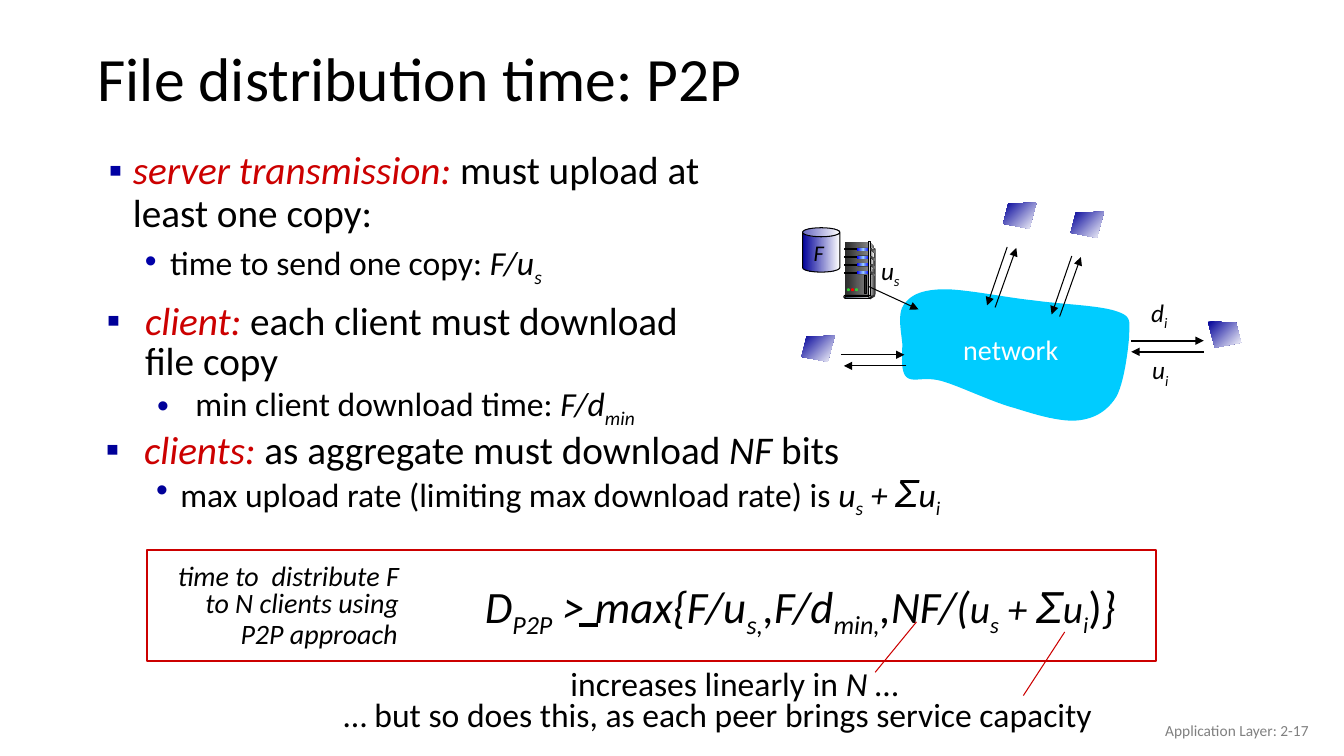
from dataclasses import dataclass

import lxml.etree
import pptx
import pptx.dml.color
import pptx.enum.dml
import pptx.enum.shapes
import pptx.enum.text
import pptx.oxml.ns
import pptx.util
from copy import deepcopy

Inches, Pt = pptx.util.Inches, pptx.util.Pt
qn = pptx.oxml.ns.qn
SHAPE = pptx.enum.shapes.MSO_SHAPE
ALIGN = pptx.enum.text.PP_ALIGN
BLACK, RED, NAVY = "000000", "CC0000", "000099"


@dataclass
class Run:
    text: str
    size: float = 24
    italic: bool = False
    sub: bool = False
    color: str = BLACK
    font: str = "Calibri"


@dataclass
class Para:
    runs: list
    align: object = ALIGN.LEFT
    spacing: float = 1.0
    before: float = 0
    left: float = 0
    hang: float = 0
    bullet: str = ""
    bullet_color: str = NAVY
    level: int = 0


@dataclass
class Gradient:
    colors: tuple
    angle: float = 0


@dataclass
class Line:
    start: tuple
    end: tuple
    width: float = 0.75
    color: str = BLACK
    arrow: bool = True


def rgb(value: str):
    return pptx.dml.color.RGBColor.from_string(value)


def it(text: str, size: float = 24, **kw) -> Run:
    return Run(text, size, italic=True, **kw)


def sub(text: str, size: float = 24) -> Run:
    return Run(text, size, italic=True, sub=True)


def rate_sum(size: float, sigma: float) -> list:
    """Runs for the total upload rate."""
    return [it("u", size), sub("s", size), it(" + ", size), it("Σ", sigma, font="Arial"),
            it("u", size), sub("i", size)]


def add_text(slide, at, paras, wrap=True, middle=False):
    tf = slide.shapes.add_textbox(*map(Inches, at)).text_frame
    tf.word_wrap = wrap
    if middle:
        tf.vertical_anchor = pptx.enum.text.MSO_ANCHOR.MIDDLE
    for i, para in enumerate(paras):
        p = tf.paragraphs[0] if i == 0 else tf.add_paragraph()
        pPr = p._p.get_or_add_pPr()
        if para.left:
            pPr.set("marL", str(Inches(para.left)))
            pPr.set("indent", str(Inches(para.hang)))
        if para.bullet:
            clr = lxml.etree.SubElement(pPr, qn("a:buClr"))
            lxml.etree.SubElement(clr, qn("a:srgbClr"), val=para.bullet_color)
            lxml.etree.SubElement(pPr, qn("a:buFont"), typeface="Arial")
            lxml.etree.SubElement(pPr, qn("a:buChar"), char=para.bullet)
        p.level, p.alignment, p.line_spacing = para.level, para.align, para.spacing
        if para.before:
            p.space_before = Pt(para.before)
        for run in para.runs:
            r = p.add_run()
            r.text = run.text
            r.font.name, r.font.size, r.font.italic = run.font, Pt(run.size), run.italic
            r.font.color.rgb = rgb(run.color)
            if run.sub:
                r._r.get_or_add_rPr().set("baseline", "-25000")


def paint(sp, fill=None, line=None, width=0.75):
    sp.shadow.inherit = False
    if fill is None:
        sp.fill.background()
    elif isinstance(fill, Gradient):
        sp.fill.gradient()
        sp.fill.gradient_angle = (360 - fill.angle) % 360
        stops = sp._element.spPr.find(qn("a:gradFill")).find(qn("a:gsLst"))
        while len(stops) < len(fill.colors):
            stops.append(deepcopy(stops[0]))
        for i, (stop, color) in enumerate(zip(sp.fill.gradient_stops, fill.colors)):
            stop.position = i / (len(fill.colors) - 1)
            stop.color.rgb = rgb(color)
    else:
        sp.fill.solid()
        sp.fill.fore_color.rgb = rgb(fill)
    if line is None:
        sp.line.fill.background()
    else:
        sp.line.color.rgb = rgb(line)
        sp.line.width = Pt(width)


def add_shape(slide, kind, at, fill=None, line=None, width=0.75, adj=None):
    sp = slide.shapes.add_shape(kind, *map(Inches, at))
    if adj is not None:
        sp.adjustments[0] = adj
    paint(sp, fill, line, width)


def add_outline(slide, points, fill):
    pts = [(Inches(x), Inches(y)) for x, y in points]
    builder = slide.shapes.build_freeform(*pts[0], scale=1.0)
    builder.add_line_segments(pts[1:], close=True)
    paint(builder.convert_to_shape(), fill)


def add_line(slide, line: Line):
    ends = map(Inches, (*line.start, *line.end))
    c = slide.shapes.add_connector(pptx.enum.shapes.MSO_CONNECTOR.STRAIGHT, *ends)
    c.line.color.rgb = rgb(line.color)
    c.line.width = Pt(line.width)
    if line.arrow:
        lxml.etree.SubElement(c.line._get_or_add_ln(), qn("a:tailEnd"), type="triangle")
    lxml.etree.SubElement(c._element.spPr, qn("a:effectLst"))


def curve(points: list, steps: int = 12) -> list:
    """Points along joined cubic curves: a start, then three points per curve."""
    out = [points[0]]
    for i in range(0, len(points) - 1, 3):
        for t in (k / steps for k in range(1, steps + 1)):
            w = ((1 - t) ** 3, 3 * t * (1 - t) ** 2, 3 * t * t * (1 - t), t ** 3)
            out.append(tuple(sum(a * pt[n] for a, pt in zip(w, points[i:i + 4])) for n in (0, 1)))
    return out


def draw_server(slide):
    dark, pill = Gradient(("292929", "808080")), Gradient(("0000FF", "99CCFF", "0000FF"))
    add_outline(slide, [(8.63, 2.4), (8.68, 2.47), (8.68, 2.92), (8.62, 2.94)],
                Gradient(("DDDDDD", "333333")))
    add_shape(slide, SHAPE.RECTANGLE, (8.38, 2.4, 0.23, 0.54), dark)
    add_outline(slide, [(8.63, 2.44), (8.67, 2.48), (8.64, 2.75), (8.63, 2.93)],
                Gradient(("808080", "F8F8F8")))
    slots = [2.46 + 0.077 * i for i in range(4)]
    for y in slots:
        add_shape(slide, SHAPE.RECTANGLE, (8.38, y + 0.01, 0.13, 0.01), BLACK, BLACK)
        add_shape(slide, SHAPE.ROUNDED_RECTANGLE, (8.5, y, 0.13, 0.03), BLACK, adj=0.5)
        add_shape(slide, SHAPE.ROUNDED_RECTANGLE, (8.5, y, 0.12, 0.03), pill, adj=0.5)
    add_shape(slide, SHAPE.RECTANGLE, (8.61, 2.4, 0.02, 0.54),
              Gradient(("333333", "DDDDDD", "333333")), BLACK)
    for y in slots:
        add_outline(slide, [(8.63, y), (8.68, y + 0.03), (8.68, y + 0.05), (8.63, y + 0.02)], dark)
    # Base, lights and side vent
    add_outline(slide, [(8.63, 2.94), (8.63, 2.97), (8.68, 2.94), (8.68, 2.92)], "333333")
    add_shape(slide, SHAPE.ROUNDED_RECTANGLE, (8.37, 2.93, 0.27, 0.03), "DDDDDD", BLACK, adj=0.5)
    add_shape(slide, SHAPE.ROUNDED_RECTANGLE, (8.38, 2.94, 0.24, 0.02),
              Gradient(("44546A", "E7E6E6")), BLACK, adj=0.5)
    for i, color in enumerate(("33CC33", "FF0000", "33CC33")):
        add_shape(slide, SHAPE.OVAL, (8.4 + 0.04 * i, 2.86, 0.03, 0.03), color)
    add_shape(slide, SHAPE.RECTANGLE, (8.57, 2.73, 0.02, 0.18), "292929", BLACK)


def draw_network(slide):
    add_outline(slide, curve([
        (9.33, 2.87), (9.11, 2.88), (9.02, 2.94), (8.96, 3.03), (8.9, 3.12), (8.94, 3.3),
        (8.95, 3.41), (8.95, 3.53), (8.93, 3.68), (8.99, 3.74), (9.06, 3.8), (9.16, 3.73),
        (9.34, 3.78), (9.52, 3.83), (9.84, 3.99), (10.07, 4.05), (10.29, 4.12), (10.53, 4.19),
        (10.7, 4.17), (10.86, 4.15), (10.98, 4.08), (11.07, 3.94), (11.15, 3.8), (11.19, 3.47),
        (11.2, 3.33), (11.2, 3.19), (11.23, 3.14), (11.08, 3.09), (10.92, 3.03), (10.54, 3.02),
        (10.25, 2.98), (9.96, 2.95), (9.54, 2.86), (9.33, 2.87)]), "00CCFF")
    add_shape(slide, SHAPE.CAN, (7.96, 2.26, 0.37, 0.44), Gradient((NAVY, "FFFFFF")), BLACK, adj=0.242)
    draw_server(slide)
    # Peers, the last one mirrored
    for x, y, flip in ((7.95, 3.33, 0), (9.95, 2.01, 0), (10.62, 2.1, 0), (11.98, 3.19, 1)):
        corners = ((0.33, 0), (0.05, 0.01), (0, 0.21), (0.26, 0.26))
        add_outline(slide, [(x + (0.33 - dx if flip else dx), y + dy) for dx, dy in corners],
                    Gradient((NAVY, "FFFFFF"), 45))
    # Links
    links = [Line((8.61, 2.84), (9.11, 3.07)), Line((8.34, 3.52), (8.97, 3.52)),
             Line((8.99, 3.63), (8.37, 3.63)), Line((11.22, 3.38), (11.94, 3.38), 1.5),
             Line((11.94, 3.49), (11.22, 3.49), 1.5)]
    for x, y in ((9.79, 3.03), (10.43, 3.12)):
        links += [Line((x + 0.2, y - 0.58), (x, y)), Line((x + 0.08, y + 0.02), (x + 0.29, y - 0.57))]
    for link in links:
        add_line(slide, link)
    # Labels
    add_text(slide, (9.45, 3.25, 1.15, 0.44), [Para([Run("network", 20, color="FFFFFF")], ALIGN.CENTER)], False)
    add_text(slide, (7.69, 2.32, 0.86, 0.37), [Para([it("F", 16)], ALIGN.CENTER)])
    for x, y, name, index in ((8.64, 2.48, "u", "s"), (11.32, 2.9, "d", "i"), (11.33, 3.47, "u", "i")):
        add_text(slide, (x, y, 0.5, 0.4), [Para([it(name, 18), sub(index, 18)])])


def main():
    prs = pptx.Presentation()
    prs.slide_width, prs.slide_height = Inches(13.33), Inches(7.5)
    slide = prs.slides.add_slide(prs.slide_layouts[6])
    add_text(slide, (0.87, 0.32, 11.5, 0.98), [Para([Run("File distribution time: P2P", 44)], spacing=0.9)], middle=True)
    # Bullets
    add_text(slide, (0.83, 1.45, 6.67, 2.2), [
        Para([it("server transmission: ", 28, color=RED), Run("must upload at least one copy:", 28)],
             spacing=0.9, left=0.39, hang=-0.24, bullet="▪", bullet_color="0000A3"),
        Para([Run("time to send one copy: "), it("F/u"), sub("s")], spacing=0.9, before=5,
             left=0.76, hang=-0.25, bullet="•", bullet_color="0000A8", level=1)])
    add_text(slide, (0.96, 2.96, 6.31, 1.32), [
        Para([it("client: ", 28, color=RED), Run("each client must download file copy", 28)],
             spacing=0.85, left=0.38, hang=-0.38, bullet="▪"),
        Para([Run("min client download time: "), it("F/d"), sub("min")], spacing=0.99,
             left=0.88, hang=-0.38, bullet="•", level=1)])
    draw_network(slide)
    add_text(slide, (0.95, 4.24, 9.32, 1.37), [
        Para([it("clients: ", 28, color=RED), Run("as aggregate must download ", 28), it("NF", 28),
              Run(" bits", 28)], spacing=0.85, left=0.38, hang=-0.38, bullet="▪"),
        Para([Run("max upload rate (limiting max download rate) is "), *rate_sum(24, 28)],
             spacing=0.85, left=0.74, hang=-0.24, bullet="•", level=1)])
    # Formula box
    caption = [[it("time to  distribute F ", 20)], [it("to N clients using ", 20)],
               [it("P2P approach", 20), Run(" ")]]
    add_text(slide, (1.64, 5.56, 2.48, 0.97),
             [Para(runs, ALIGN.RIGHT, 0.8, left=0.38, hang=-0.38) for runs in caption], False)
    add_shape(slide, SHAPE.RECTANGLE, (1.46, 5.46, 10.01, 1.1), line=RED, width=1.5)
    terms = ((" D", "P2P"), (" > max{F/u", "s,"), (",F/d", "min,"))
    formula = [run for term, index in terms for run in (it(term, 32), sub(index, 32))]
    formula += [it(",NF/(", 32), *rate_sum(28, 32), Run(")", 32), it("}", 32)]
    add_text(slide, (4.61, 5.69, 6.85, 0.64), [Para(formula, left=0.38, hang=-0.38)], False)
    # Remarks and their pointers
    for line in (Line((5.74, 6.2), (5.93, 6.2), 2.25, arrow=False),
                 Line((10.15, 6.9), (10.56, 6.27), color=RED, arrow=False),
                 Line((8.68, 6.67), (9.09, 6.17), color=RED, arrow=False)):
        add_line(slide, line)
    remarks = (((3.31, 6.91, 7.69, 0.43), [Run("… but so does this, as each peer brings service capacity")]),
               ((5.56, 6.61, 3.49, 0.43), [Run("increases linearly in "), it("N"), Run(" …")]))
    for at, runs in remarks:
        add_text(slide, at, [Para(runs, spacing=0.8, left=0.38, hang=-0.38)], False)
    # Footer
    add_text(slide, (10.08, 7.05, 3, 0.4), [Para([Run("Application Layer: 2-17", 11, color="808080")], ALIGN.RIGHT)], middle=True)
    prs.save("out.pptx")


if __name__ == "__main__":
    main()
